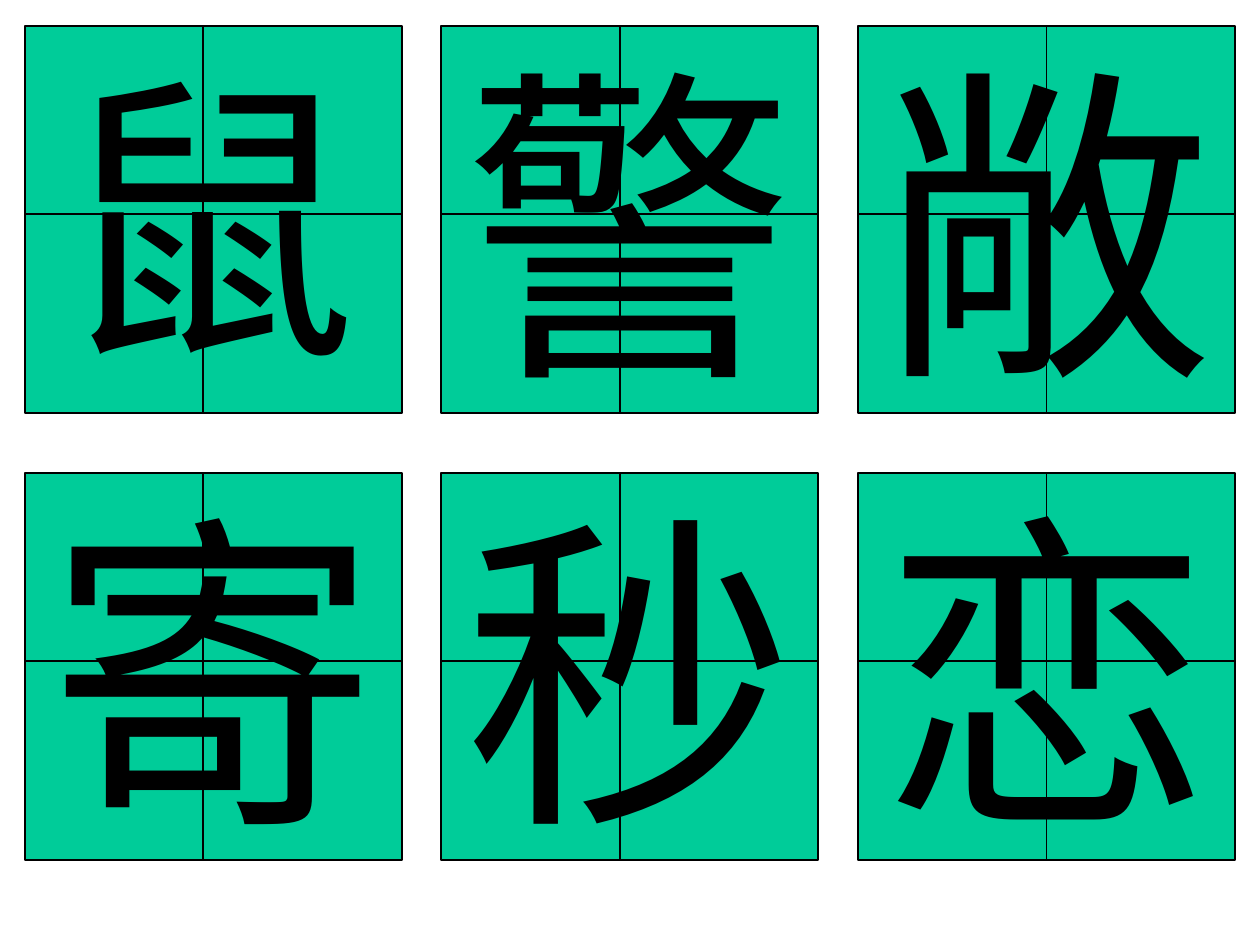
from pptx import Presentation
from pptx.dml.color import RGBColor
from pptx.enum.shapes import MSO_CONNECTOR, MSO_SHAPE
from pptx.enum.text import MSO_ANCHOR, MSO_AUTO_SIZE, PP_ALIGN
from pptx.oxml.ns import qn
from pptx.util import Emu, Pt
from lxml import etree

RECTANGLE = MSO_SHAPE.RECTANGLE
STRAIGHT = MSO_CONNECTOR.STRAIGHT
MIDDLE, TOP = MSO_ANCHOR.MIDDLE, MSO_ANCHOR.TOP
CENTER, LEFT = PP_ALIGN.CENTER, PP_ALIGN.LEFT
GROW = MSO_AUTO_SIZE.SHAPE_TO_FIT_TEXT

EMU_PER_PX = 914400 / 126
INK, GREEN = "000000", "00CC99"
CARD_WIDTH, CARD_HEIGHT = 377, 387
COLUMNS = [(25, 203), (441, 620), (858, 1047)]
ROWS = [(26, 214), (473, 661)]
CARD_CHARACTERS = [["", "警", "敞"], ["", "秒", "恋"]]


def px(length):
    """Turn pixels into EMU."""
    return Emu(round(length * EMU_PER_PX))


def color(value):
    """Turn a hex string into a colour."""
    return RGBColor.from_string(value)


def write_character(frame, character, size, align, **layout):
    """Write one large character into a text frame."""
    for name, value in layout.items():
        setattr(frame, name, value)
    paragraph = frame.paragraphs[0]
    paragraph.alignment = align
    run = paragraph.add_run()
    run.text = character
    for name, value in {"name": "Arial", "size": Pt(size)}.items():
        setattr(run.font, name, value)
    run.font.color.rgb = color(INK)


def add_card(slide, left, top, character):
    """Add a green card with its character, if it has one."""
    card = slide.shapes.add_shape(
        RECTANGLE, px(left), px(top), px(CARD_WIDTH), px(CARD_HEIGHT))
    card.shadow.inherit = False
    card.fill.solid()
    card.fill.fore_color.rgb = color(GREEN)
    card.line.color.rgb = color(INK)
    card.line.width = Pt(0.75)
    if character:
        write_character(card.text_frame, character, 189, CENTER,
                        vertical_anchor=MIDDLE, word_wrap=False)
    return card


def add_guide(slide, x1, y1, x2, y2):
    """Add a thin straight guide line."""
    guide = slide.shapes.add_connector(STRAIGHT, px(x1), px(y1), px(x2), px(y2))
    guide.line.color.rgb = color(INK)
    guide.line.width = Pt(0.75)
    etree.SubElement(guide._element.spPr, qn("a:effectLst"))
    return guide


def add_loose_character(slide, left, top, width, height, character, size, wrap):
    """Add a character in its own text box."""
    box = slide.shapes.add_textbox(px(left), px(top), px(width), px(height))
    write_character(box.text_frame, character, size, LEFT,
                    vertical_anchor=TOP, word_wrap=wrap, auto_size=GROW)


def main():
    """Build the slide of character cards."""
    deck = Presentation()
    deck.slide_width, deck.slide_height = px(1260), px(945)
    slide = deck.slides.add_slide(deck.slide_layouts[6])

    cards = [[add_card(slide, left, top, character)
              for (left, _), character in zip(COLUMNS, characters)]
             for (top, _), characters in zip(ROWS, CARD_CHARACTERS)]

    for (top, guide_y), row_cards in zip(ROWS, cards):
        for (left, guide_x), card in zip(COLUMNS, row_cards):
            upright = add_guide(slide, guide_x, top, guide_x, top + CARD_HEIGHT)
            if abs(guide_x - left - CARD_WIDTH / 2) < 1:
                upright.begin_connect(card, 0)
                upright.end_connect(card, 2)
            add_guide(slide, left, guide_y, left + CARD_WIDTH, guide_y)

    add_loose_character(slide, 44, 26, 367, 374, "鼠", 172, True)
    add_loose_character(slide, 35, 462, 355, 410, "寄", 189, False)
    deck.save("out.pptx")


if __name__ == "__main__":
    main()
